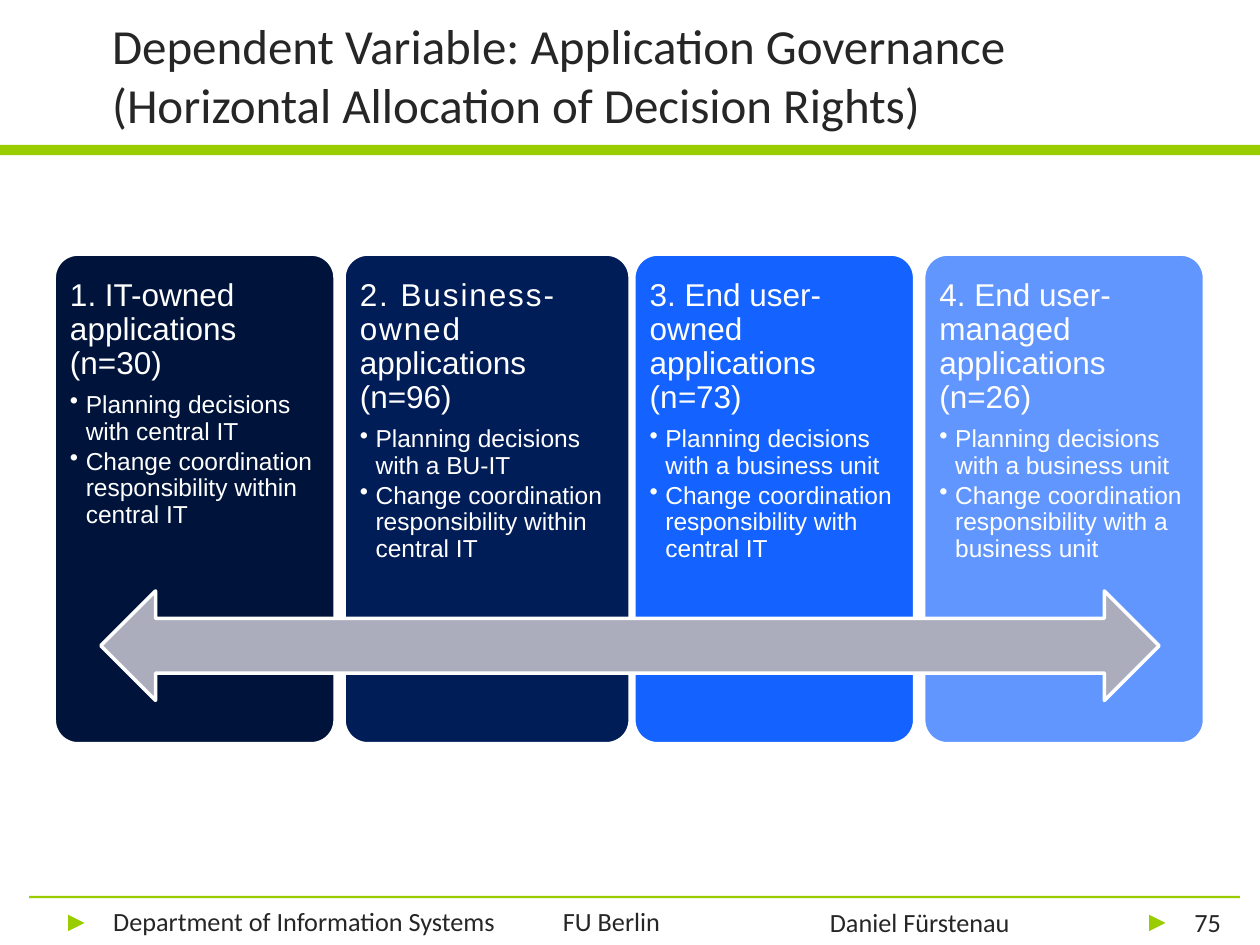
from pptx import Presentation
from pptx.dml.color import RGBColor
from pptx.enum.shapes import MSO_SHAPE
from pptx.enum.text import MSO_ANCHOR, MSO_AUTO_SIZE, PP_ALIGN
from pptx.oxml.ns import qn
from pptx.util import Pt
from lxml.etree import SubElement

GREEN = RGBColor(0x9A, 0xCD, 0x00)
DARK = RGBColor(0x26, 0x26, 0x26)
WHITE = RGBColor(0xFF, 0xFF, 0xFF)
GREY = RGBColor(0xAB, 0xAD, 0xBD)

TITLE = "Dependent Variable: Application Governance\v(Horizontal Allocation of Decision Rights)"

# Heading runs are (text, letter spacing in points, italic)
CARDS = [
    {"fill": RGBColor(0x00, 0x14, 0x3B), "width": 160.5,
     "heading": [("1. IT-owned applications (n=30)", 0, False)],
     "bullets": ["Planning decisions with central IT",
                 "Change coordination responsibility within central IT"]},
    {"fill": RGBColor(0x00, 0x1D, 0x58), "width": 163.5,
     "heading": [("2. Business-owned ", 1.1, False), ("applications (n=96)", 0, False)],
     "bullets": ["Planning decisions with a BU-IT",
                 "Change coordination responsibility within central IT"]},
    {"fill": RGBColor(0x14, 0x62, 0xFF), "width": 160.5,
     "heading": [("3. End user-owned applications (n", 0, False), ("=", 0, True), ("73)", 0, False)],
     "bullets": ["Planning decisions with a business unit",
                 "Change coordination responsibility with central IT"]},
    {"fill": RGBColor(0x62, 0x96, 0xFF), "width": 160.5,
     "heading": [("4. End user-managed applications (n=26)", 0, False)],
     "bullets": ["Planning decisions with a business unit",
                 "Change coordination responsibility with a business unit"]},
]
CARD_LEFT, CARD_TOP, CARD_HEIGHT, CARD_PITCH = 31, 145.2, 279.8, 165.6
CORNER = 13.5

# Text, left, top, width, height, side inset, alignment
FOOTER = [
    ("FU Berlin", 314.6, 516.2, 85, 20.2, 7.2, PP_ALIGN.LEFT),
    ("Daniel Fürstenau", 399.6, 517.7, 252, 18, 7.2, PP_ALIGN.CENTER),
    ("Department of Information Systems", 57.6, 516.2, 254.2, 20.2, 7.2, PP_ALIGN.LEFT),
    ("75", 669.6, 514.8, 28.1, 23.8, 0, PP_ALIGN.RIGHT),
]
RULES = [(0, 82.8, 720, 5.8), (16.6, 511.9, 691.9, 1.4)]
MARKER_LEFTS = [38.9, 656.6]


def add_filled(s, shape, left, top, width, height, fill, outlined=False):
    sp = s.shapes.add_shape(shape, Pt(left), Pt(top), Pt(width), Pt(height))
    sp.shadow.inherit = False
    sp.fill.solid()
    sp.fill.fore_color.rgb = fill
    if outlined:
        sp.line.color.rgb = WHITE
        sp.line.width = Pt(2)
    else:
        sp.line.fill.background()
    return sp


def set_font(font, name, size, color):
    font.name, font.size = name, Pt(size)
    font.color.rgb = color


def set_margins(tf, left, top, right, bottom):
    tf.margin_left, tf.margin_top = Pt(left), Pt(top)
    tf.margin_right, tf.margin_bottom = Pt(right), Pt(bottom)


def add_bullet(p, indent):
    pPr = p._p.get_or_add_pPr()
    pPr.set("marL", str(Pt(indent)))
    pPr.set("indent", str(-Pt(indent)))
    SubElement(pPr, qn("a:buChar"), char="•")


def add_card(s, card, left):
    sp = add_filled(s, MSO_SHAPE.ROUNDED_RECTANGLE, left, CARD_TOP,
                    card["width"], CARD_HEIGHT, card["fill"], outlined=True)
    sp.adjustments[0] = CORNER / card["width"]
    tf = sp.text_frame
    tf.word_wrap = True
    tf.vertical_anchor = MSO_ANCHOR.TOP
    # The rounded corners already push the text in by 0.29 of their radius
    inset = CORNER * 0.29
    set_margins(tf, 9 - inset, 14.4 - inset, 9 - inset, 90 - inset)

    p = tf.paragraphs[0]
    p.space_after = Pt(6.3)
    for text, spacing, italic in card["heading"]:
        r = p.add_run()
        r.text = text
        set_font(r.font, "Arial", 18, WHITE)
        if italic:
            r.font.italic = True
        if spacing:
            r.font._element.set("spc", str(round(spacing * 100)))
    for text in card["bullets"]:
        p = tf.add_paragraph()
        p.text = text
        p.level = 1
        p.space_after = Pt(2.1)
        add_bullet(p, 9)
        set_font(p.runs[0].font, "Arial", 14, WHITE)
    for p in tf.paragraphs:
        p.alignment = PP_ALIGN.LEFT
        p.line_spacing = 0.9


def add_footer_text(s, text, left, top, width, height, inset, align):
    tf = s.shapes.add_textbox(Pt(left), Pt(top), Pt(width), Pt(height)).text_frame
    tf.word_wrap = True
    tf.vertical_anchor = MSO_ANCHOR.MIDDLE
    set_margins(tf, inset, 0, inset, 0)
    p = tf.paragraphs[0]
    p.text = text
    p.alignment = align
    set_font(p.runs[0].font, "Calibri", 15, DARK)


def add_title(s):
    sp = s.shapes.title
    sp.left, sp.top, sp.width, sp.height = Pt(56.9), Pt(0), Pt(622.8), Pt(85)
    tf = sp.text_frame
    tf.text = TITLE
    tf.auto_size = MSO_AUTO_SIZE.NONE
    tf.vertical_anchor = MSO_ANCHOR.MIDDLE
    p = tf.paragraphs[0]
    p.alignment = PP_ALIGN.LEFT
    for r in p.runs:
        set_font(r.font, "Calibri", 28, DARK)


def main():
    prs = Presentation()
    prs.slide_width, prs.slide_height = Pt(720), Pt(540)
    s = prs.slides.add_slide(prs.slide_layouts[5])
    add_title(s)
    for rule in RULES:
        add_filled(s, MSO_SHAPE.RECTANGLE, *rule, GREEN)
    for left in MARKER_LEFTS:
        marker = add_filled(s, MSO_SHAPE.ISOSCELES_TRIANGLE, left, 522.7, 9.4, 9.4, GREEN)
        marker.rotation = 90
    for item in FOOTER:
        add_footer_text(s, *item)
    for i, card in enumerate(CARDS):
        add_card(s, card, CARD_LEFT + i * CARD_PITCH)
    add_filled(s, MSO_SHAPE.LEFT_RIGHT_ARROW, 57.6, 337.7, 604.8, 62.6, GREY, outlined=True)
    prs.save("out.pptx")


if __name__ == "__main__":
    main()
